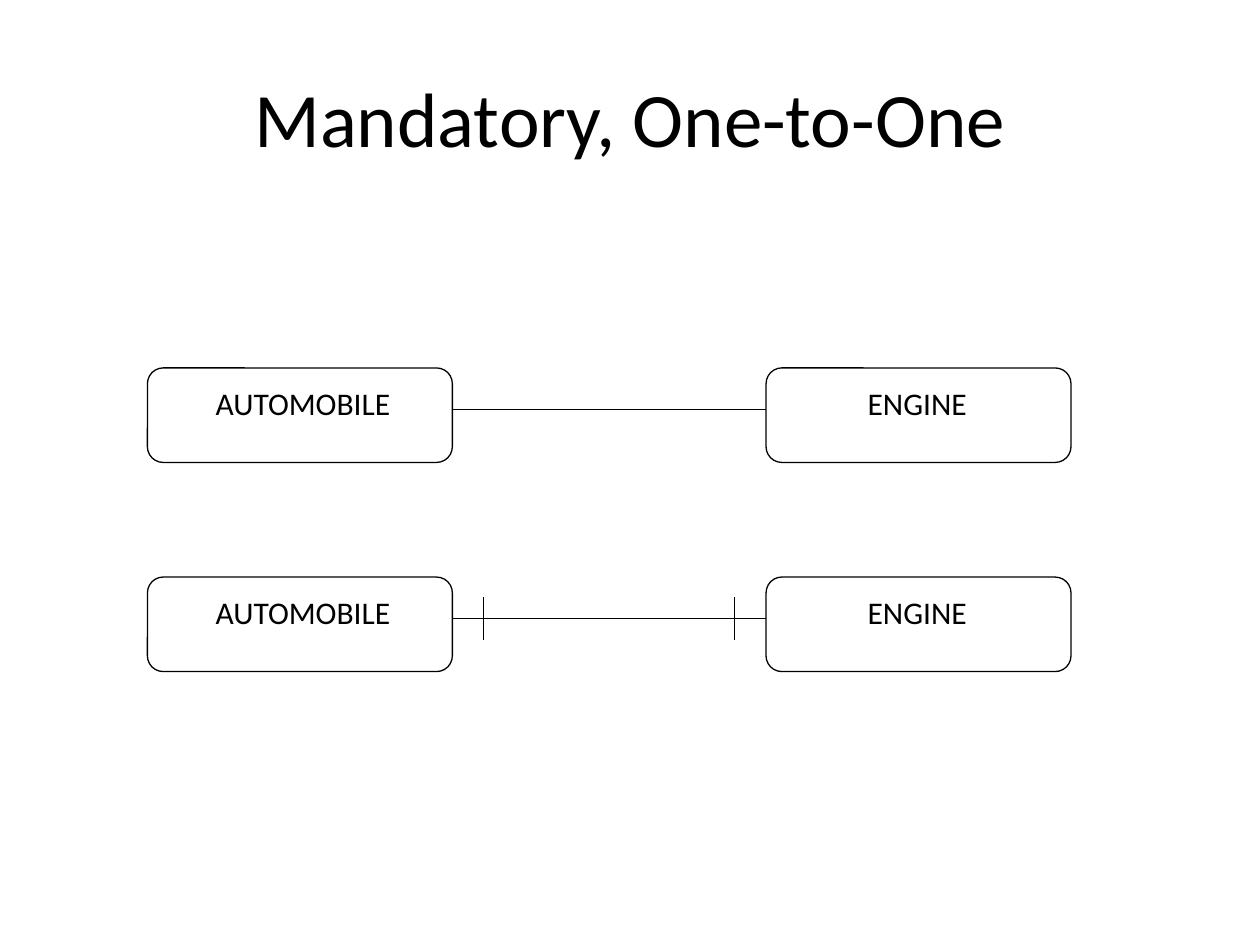
import dataclasses

import pptx
import pptx.dml.color
import pptx.enum.shapes
import pptx.enum.text
import pptx.oxml.ns
import pptx.util
from lxml import etree

Inches = pptx.util.Inches


@dataclasses.dataclass(frozen=True)
class Theme:
    ink: pptx.dml.color.RGBColor = pptx.dml.color.RGBColor(0, 0, 0)
    font: str = "Calibri"
    title: int = 44
    label: int = 18
    line: float = 0.75


THEME = Theme()
BOX_W, BOX_H = 2.42, 0.75
LEFT_X, RIGHT_X = 1.17, 6.08
LINE_DROP, TICK_GAP, TICK_HALF = 0.33, 0.25, 0.17


def set_text(sp, text, size, anchor=pptx.enum.text.MSO_ANCHOR.TOP, wrap=True):
    tf = sp.text_frame
    tf.word_wrap = wrap
    tf.auto_size = pptx.enum.text.MSO_AUTO_SIZE.NONE
    tf.vertical_anchor = anchor
    p = tf.paragraphs[0]
    p.alignment = pptx.enum.text.PP_ALIGN.CENTER
    r = p.add_run()
    r.text = text
    r.font.name = THEME.font
    r.font.size = pptx.util.Pt(size)
    r.font.color.rgb = THEME.ink


def set_line(sp):
    sp.line.color.rgb = THEME.ink
    sp.line.width = pptx.util.Pt(THEME.line)


def add_title(s, text):
    sp = s.shapes.title
    sp.left, sp.top = Inches(0.5), Inches(0.3)
    sp.width, sp.height = Inches(9), Inches(1.25)
    set_text(sp, text, THEME.title, anchor=pptx.enum.text.MSO_ANCHOR.MIDDLE)


def add_box(shapes, x, y):
    sp = shapes.add_shape(pptx.enum.shapes.MSO_SHAPE.ROUNDED_RECTANGLE,
                          Inches(x), Inches(y), Inches(BOX_W), Inches(BOX_H))
    sp.shadow.inherit = False
    sp.fill.background()
    set_line(sp)


def add_label(shapes, text, x, y, w):
    sp = shapes.add_textbox(Inches(x), Inches(y), Inches(w), Inches(0.5))
    set_text(sp, text, THEME.label, wrap=False)


def add_line(shapes, x1, y1, x2, y2):
    sp = shapes.add_connector(pptx.enum.shapes.MSO_CONNECTOR.STRAIGHT,
                              Inches(x1), Inches(y1), Inches(x2), Inches(y2))
    set_line(sp)
    etree.SubElement(sp._element.spPr, pptx.oxml.ns.qn("a:effectLst"))


def add_relationship(s, y, ticks=False):
    shapes = s.shapes.add_group_shape().shapes
    for x in (LEFT_X, RIGHT_X):
        add_box(shapes, x, y)
    add_label(shapes, "AUTOMOBILE", 1.2, y + 0.08, 2.41)
    add_label(shapes, "ENGINE", 6.56, y + 0.08, 1.44)
    start, mid = LEFT_X + BOX_W, y + LINE_DROP
    add_line(shapes, start, mid, RIGHT_X, mid)
    if ticks:
        for x in (start + TICK_GAP, RIGHT_X - TICK_GAP):
            add_line(shapes, x, mid - TICK_HALF, x, mid + TICK_HALF)


def main():
    prs = pptx.Presentation()
    prs.slide_width, prs.slide_height = Inches(10), Inches(7.5)
    s = prs.slides.add_slide(prs.slide_layouts[5])
    add_title(s, "Mandatory, One-to-One")
    add_relationship(s, 2.92)
    add_relationship(s, 4.58, ticks=True)
    prs.save("out.pptx")


if __name__ == "__main__":
    main()
